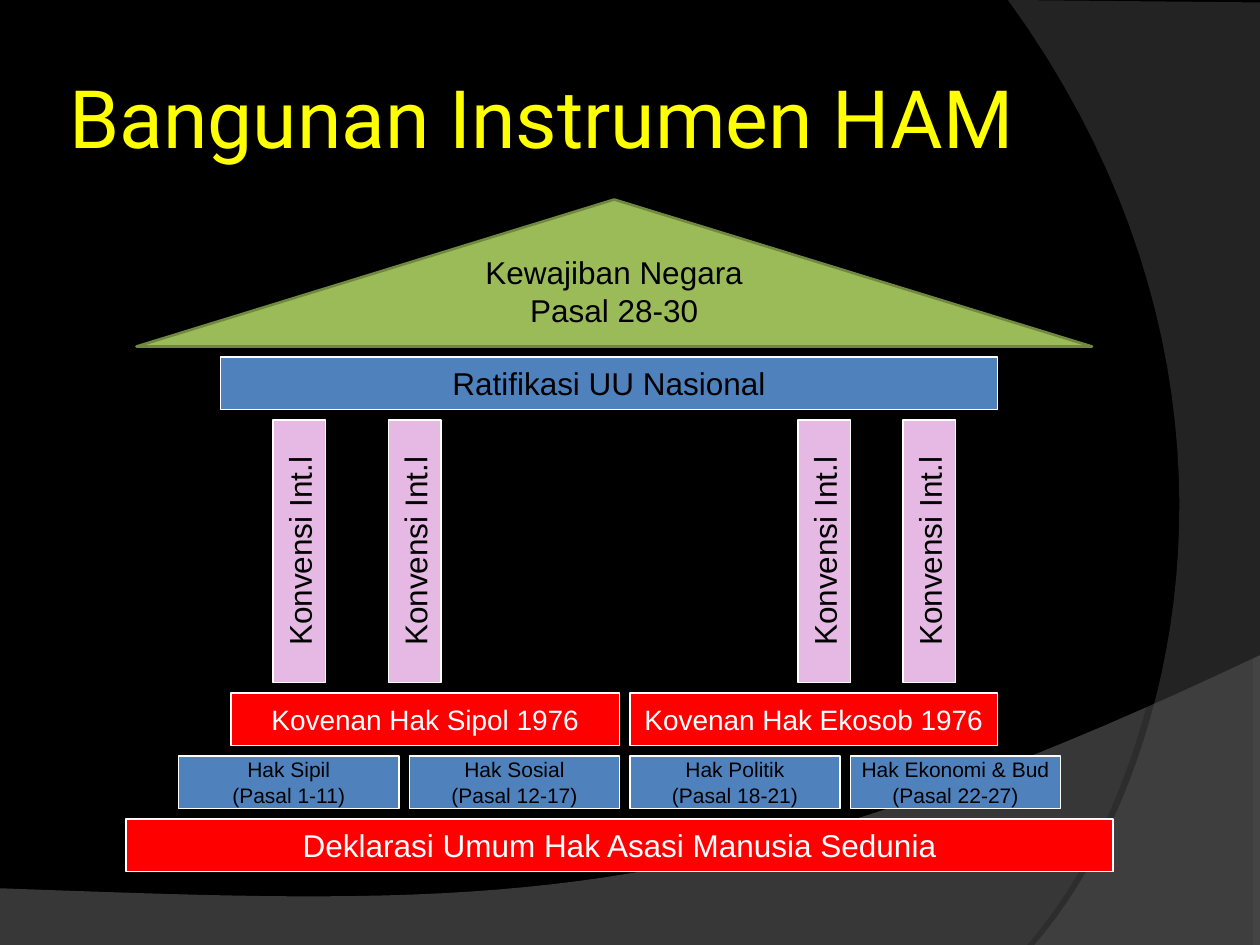
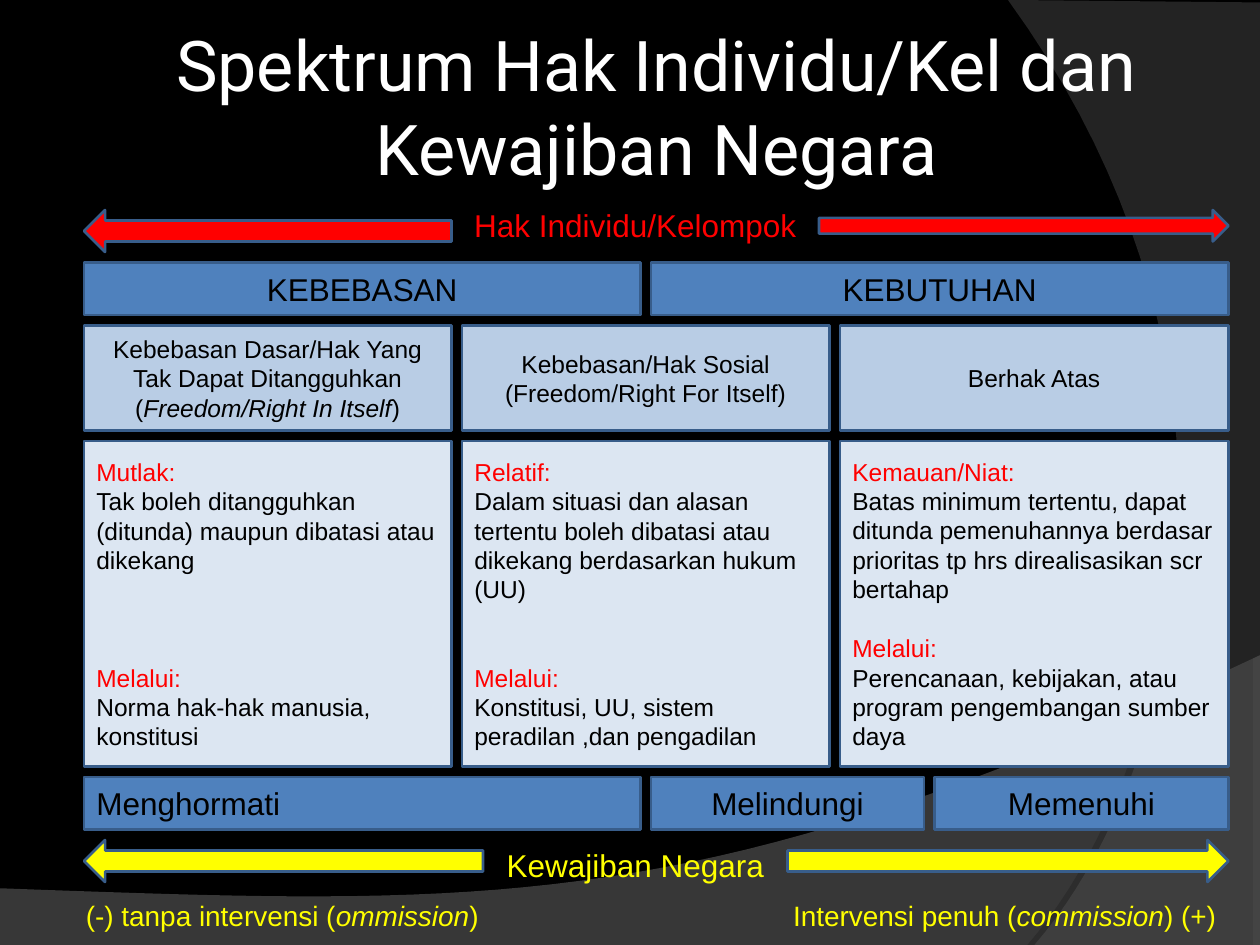
from lxml import etree
from pptx import Presentation
from pptx.dml.color import RGBColor
from pptx.enum.shapes import MSO_SHAPE
from pptx.enum.text import MSO_ANCHOR, PP_ALIGN
from pptx.oxml.ns import qn
from pptx.util import Inches, Pt

RECTANGLE, ROOF, ARROW = MSO_SHAPE.RECTANGLE, MSO_SHAPE.FLOWCHART_EXTRACT, MSO_SHAPE.RIGHT_ARROW
LEFT, CENTER, RIGHT = PP_ALIGN.LEFT, PP_ALIGN.CENTER, PP_ALIGN.RIGHT
TOP, MIDDLE = MSO_ANCHOR.TOP, MSO_ANCHOR.MIDDLE

BLACK, WHITE, RED, YELLOW = "000000", "FFFFFF", "FF0000", "FFFF00"
BLUE, PALE_BLUE, ICE, NAVY = "4F81BD", "B9CDE5", "DCE6F2", "385D8A"
GREEN, OLIVE, PINK = "9BBB59", "71893F", "E5B9E3"
CELLS_PER_INCH = 12
GAP = 1
BAR = 5
LINE_14 = 16.8

SWOOSHES = [
    {"fill": "7C7C7C", "alpha": 45, "shadow": (35, 3.5, 270),
     "points": [(0, 7.05), (0, 7.51), (10, 7.51), (10, 5.2)],
     "curve": [(10, 5.2), (5.59, 7.29), (3.91, 7.19), (0, 7.05)]},
    {"fill": "595959", "alpha": 40, "shadow": (45, 4, 180),
     "points": [(10, 0.02), (10, 7.5), (8.21, 7.5)],
     "curve": [(8.21, 7.5), (9.35, 6.19), (10.18, 3), (8, 0)]},
]

BUILDING_ROWS = [
    (34, 21, [74], BLUE, BLACK, 18, [["Ratifikasi UU Nasional"]]),
    (66, 22, [37, 35], RED, WHITE, 16, [["Kovenan Hak Sipol 1976"], ["Kovenan Hak Ekosob 1976"]]),
    (72, 17, [21, 20, 20, 20], BLUE, BLACK, 12, [
        ["Hak Sipil", "(Pasal 1-11)"],
        ["Hak Sosial", "(Pasal 12-17)"],
        ["Hak Politik", "(Pasal 18-21)"],
        ["Hak Ekonomi & Bud", "(Pasal 22-27)"]]),
    (78, 12, [94], RED, WHITE, 18, [["Deklarasi Umum Hak Asasi Manusia Sedunia"]]),
]
PILLAR_LEFTS = [16, 27, 66, 76]

HALVES, THIRDS, DUTIES = [53, 55], [35, 35, 37], [53, 26, 28]
SPECTRUM_LEFT = 8
SPECTRUM_ROWS = [
    (25, BAR, HALVES, BLUE, 18, [CENTER] * 2, [["KEBEBASAN"], ["KEBUTUHAN"]]),
    (31, 10, THIRDS, PALE_BLUE, 14, [CENTER] * 3, [
        ["Kebebasan Dasar/Hak Yang Tak Dapat Ditangguhkan", "(*Freedom/Right In Itself*)"],
        ["Kebebasan/Hak Sosial", "(Freedom/Right For Itself)"],
        ["Berhak Atas"]]),
    (42, 31, THIRDS, ICE, 14, [LEFT] * 3, [
        [("Mutlak:", 0),
         "Tak boleh ditangguhkan (ditunda) maupun dibatasi atau dikekang",
         ("Melalui:", 3), "Norma hak-hak manusia,", "konstitusi"],
        [("Relatif:", 0),
         "Dalam situasi dan alasan tertentu boleh dibatasi atau dikekang berdasarkan hukum (UU)",
         ("Melalui:", 2), "Konstitusi, UU, sistem peradilan ,dan pengadilan"],
        [("Kemauan/Niat:", 0),
         "Batas minimum tertentu, dapat ditunda pemenuhannya berdasar prioritas "
         "tp hrs direalisasikan scr bertahap",
         ("Melalui:", 1), "Perencanaan, kebijakan, atau program pengembangan sumber daya"]]),
    (74, BAR, DUTIES, BLUE, 18, [LEFT, CENTER, CENTER],
     [["Menghormati"], ["Melindungi"], ["Memenuhi"]]),
]
ARROWS = [
    ((8, 20, 35, 4), 180, RED),
    ((78, 20, 39, 3), 0, RED),
    ((8, 80, 38, 4), 180, YELLOW),
    ((75, 80, 42, 4), 0, YELLOW),
]
CAPTIONS = [
    ((42, 19, 37, 4.8), "Hak Individu/Kelompok", 18, RED, CENTER),
    ((44, 80, 33, 4.8), "Kewajiban Negara", 18, YELLOW, CENTER),
    ((7, 85, 49, 4.4), "(-) tanpa intervensi (*ommission*)", 16, YELLOW, LEFT),
    ((69, 85, 48, 4.4), "Intervensi penuh (*commission*) (+)", 16, YELLOW, RIGHT),
]


def color(hex_text):
    return RGBColor.from_string(hex_text)


def cells(place):
    return [Inches(value / CELLS_PER_INCH) for value in place]


def assign(target, values):
    for name, value in values.items():
        setattr(target, name, value)


def write(box, paragraphs, size, ink, align=CENTER, font="Arial", wrap=True,
          anchor=MIDDLE, side=0.1, bottom=0.05):
    frame = box.text_frame
    assign(frame, {"word_wrap": wrap, "vertical_anchor": anchor,
                   "margin_left": Inches(side), "margin_right": Inches(side),
                   "margin_top": Inches(0.05), "margin_bottom": Inches(bottom)})
    for index, entry in enumerate(paragraphs):
        is_heading = isinstance(entry, tuple)
        text, skipped_lines = entry if is_heading else (entry, 0)
        para = frame.add_paragraph() if index else frame.paragraphs[0]
        para.alignment = align
        if skipped_lines:
            para.space_before = Pt(skipped_lines * LINE_14)
        for order, part in enumerate(text.split("*")):
            if part:
                span = para.add_run()
                span.text = part
                assign(span.font, {"name": font, "size": Pt(size), "italic": order % 2 == 1})
                span.font.color.rgb = color(RED if is_heading else ink)


def add_block(page, kind, place, fill, line, width, rotation=0):
    block = page.shapes.add_shape(kind, *cells(place))
    block.rotation = rotation
    block.shadow.inherit = False
    block.fill.solid()
    block.fill.fore_color.rgb = color(fill)
    block.line.color.rgb = color(line)
    block.line.width = Pt(width)
    return block


def add_label(page, place, paragraphs, size, ink, **style):
    write(page.shapes.add_textbox(*cells(place)), paragraphs, size, ink, **style)


def row_places(top, height, left, widths):
    for width in widths:
        yield left, top, width, height
        left += width + GAP


def curve_points(controls, steps=40):
    for step in range(1, steps + 1):
        t = step / steps
        weights = ((1 - t) ** 3, 3 * t * (1 - t) ** 2, 3 * t * t * (1 - t), t ** 3)
        yield tuple(sum(w * point[axis] for w, point in zip(weights, controls)) for axis in (0, 1))


def add_alpha(color_element, percent):
    etree.SubElement(color_element, qn("a:alpha"), val=str(percent * 1000))


def add_swoosh(page, swoosh):
    outline = swoosh["points"] + list(curve_points(swoosh["curve"]))
    start, *rest = [(Inches(x), Inches(y)) for x, y in outline]
    builder = page.shapes.build_freeform(*start)
    builder.add_line_segments(rest, close=True)
    shape = builder.convert_to_shape()
    shape.shadow.inherit = False
    shape.line.fill.background()
    shape.fill.solid()
    shape.fill.fore_color.rgb = color(swoosh["fill"])
    properties = shape.element.spPr
    add_alpha(properties.find(qn("a:solidFill"))[0], swoosh["alpha"])
    opacity, distance, direction = swoosh["shadow"]
    shadow = etree.SubElement(properties.find(qn("a:effectLst")), qn("a:outerShdw"), blurRad="0",
                              dist=str(Pt(distance)), dir=str(direction * 60000),
                              algn="ctr", rotWithShape="0")
    add_alpha(etree.SubElement(shadow, qn("a:srgbClr"), val=BLACK), opacity)


def add_page(deck, title, place, size, ink, align):
    page = deck.slides.add_slide(deck.slide_layouts[6])
    page.background.fill.solid()
    page.background.fill.fore_color.rgb = color(BLACK)
    for swoosh in SWOOSHES:
        add_swoosh(page, swoosh)
    add_label(page, place, [title], size, ink, align=align, font="Roboto", side=0.05)
    return page


def build_instruments(deck):
    page = add_page(deck, "Bangunan Instrumen HAM", (6, 3.6, 98, 15), 46, YELLOW, LEFT)
    roof = add_block(page, ROOF, (13, 19, 91, 14), GREEN, OLIVE, 1.5)
    write(roof, ["Kewajiban Negara", "Pasal 28-30"], 18, BLACK, wrap=False, bottom=0.35)
    for top, left, widths, fill, ink, size, texts in BUILDING_ROWS:
        for place, paragraphs in zip(row_places(top, BAR, left, widths), texts):
            write(add_block(page, RECTANGLE, place, fill, WHITE, 0.75),
                  paragraphs, size, ink, wrap=False)
    for left in PILLAR_LEFTS:
        pillar = add_block(page, RECTANGLE, (left, 50, 25, BAR), PINK, WHITE, 0.75, 270)
        write(pillar, ["Konvensi Int.l"], 18, BLACK, wrap=False)


def build_spectrum(deck):
    page = add_page(deck, "Spektrum Hak Individu/Kel dan Kewajiban Negara",
                    (10, 3, 105, 14), 40, WHITE, CENTER)
    for top, height, widths, fill, size, aligns, texts in SPECTRUM_ROWS:
        places = row_places(top, height, SPECTRUM_LEFT, widths)
        for place, align, paragraphs in zip(places, aligns, texts):
            write(add_block(page, RECTANGLE, place, fill, NAVY, 1.5),
                  paragraphs, size, BLACK, align=align)
    for place, rotation, fill in ARROWS:
        add_block(page, ARROW, place, fill, NAVY, 1.5, rotation)
    for place, text, size, ink, align in CAPTIONS:
        add_label(page, place, [text], size, ink, align=align, anchor=TOP)


def main():
    deck = Presentation()
    assign(deck, {"slide_width": Inches(10), "slide_height": Inches(7.5)})
    build_instruments(deck)
    build_spectrum(deck)
    deck.save("out.pptx")


if __name__ == "__main__":
    main()
